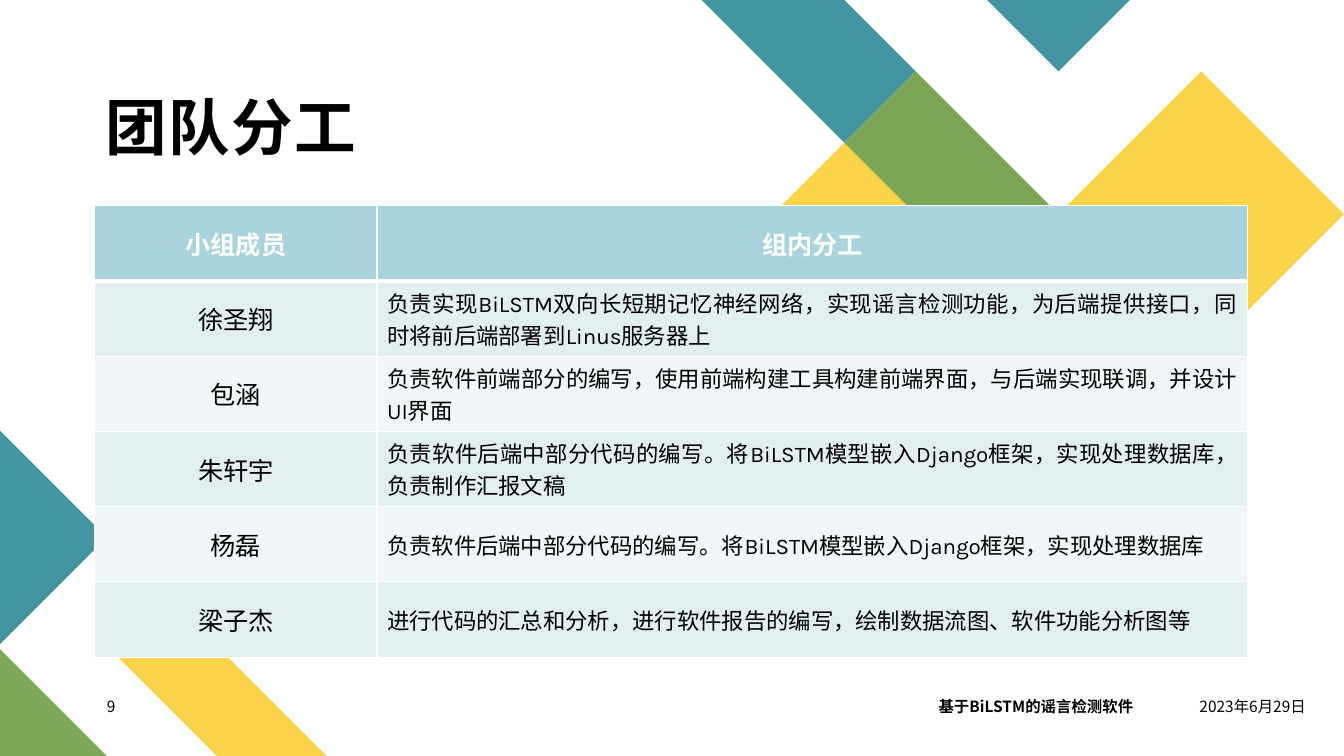
"""Build the team roles slide with its geometric decoration."""
import lxml.etree
import pptx
import pptx.dml.color
import pptx.enum.text
import pptx.oxml.ns
import pptx.util

WIDTH = pptx.util.Inches(13.333)
HEIGHT = pptx.util.Inches(7.5)

WHITE = pptx.dml.color.RGBColor(0xFF, 0xFF, 0xFF)
BLACK = pptx.dml.color.RGBColor(0x00, 0x00, 0x00)
TEAL = pptx.dml.color.RGBColor(0x44, 0x95, 0xA2)
GREEN = pptx.dml.color.RGBColor(0x7C, 0xA6, 0x55)
YELLOW = pptx.dml.color.RGBColor(0xF9, 0xD4, 0x48)
HEADER = pptx.dml.color.RGBColor(0xA9, 0xD4, 0xDB)
BANDS = (
    pptx.dml.color.RGBColor(0xF1, 0xF7, 0xF8),
    pptx.dml.color.RGBColor(0xE2, 0xEF, 0xF1),
)

CHINESE_FONT = "Noto Sans CJK SC"
TABLE_FONT = "Karla"
ALIGN = pptx.enum.text.PP_ALIGN
ANCHOR = pptx.enum.text.MSO_ANCHOR

ROWS = [
    ("小组成员", "组内分工"),
    ("徐圣翔", "负责实现BiLSTM双向长短期记忆神经网络，实现谣言检测功能，为后端提供接口，同时将前后端部署到Linus服务器上"),
    ("包涵", "负责软件前端部分的编写，使用前端构建工具构建前端界面，与后端实现联调，并设计UI界面"),
    ("朱轩宇", "负责软件后端中部分代码的编写。将BiLSTM模型嵌入Django框架，实现处理数据库，负责制作汇报文稿"),
    ("杨磊", "负责软件后端中部分代码的编写。将BiLSTM模型嵌入Django框架，实现处理数据库"),
    ("梁子杰", "进行代码的汇总和分析，进行软件报告的编写，绘制数据流图、软件功能分析图等"),
]
COLUMN_SHARES = (21, 64.8)
TABLE_HEIGHT = 59.73

RIGHT_GRID = ((100, 0), 5.31)
DECORATION = [
    ((24.3, 100), 4.08, YELLOW, [[(0, 0), (-2, 0), (-4, -2), (-3, -3)]]),
    ((0, 100), 7.95, GREEN, [[(1, 0), (0, 0), (0, -1)]]),
    ((0, 71.07), 7.95, TEAL, [[(0, -1), (1, 0), (0, 1)]]),
    (*RIGHT_GRID, TEAL, [[(-6, 1), (-7, 0), (-9, 0), (-7, 2)],
                         [(-3, 4), (-4, 3), (-5, 4), (-4, 5)]]),
    (*RIGHT_GRID, YELLOW, [[(-7, 2), (-8, 3), (-6, 5), (-5, 4)]]),
    (*RIGHT_GRID, TEAL, [[(-3, 0), (-5, 0), (-4, 1)]]),
    (*RIGHT_GRID, GREEN, [[(-6, 1), (-7, 2), (-5, 4), (-4, 3)]]),
    (*RIGHT_GRID, YELLOW, [[(0, 3), (-2, 1), (-4, 3), (-2, 5)]]),
]


def across(share):
    return round(WIDTH * share / 100)


def down(share):
    return round(HEIGHT * share / 100)


def apply_format(target, values):
    for name, value in values.items():
        setattr(target, name, value)


def write_text(text_frame, text, size, bold=False, color=BLACK, latin=CHINESE_FONT, **paragraph_format):
    paragraph = text_frame.paragraphs[0]
    apply_format(paragraph, paragraph_format)
    run = paragraph.add_run()
    run.text = text
    apply_format(run.font, {"size": pptx.util.Pt(size), "bold": bold, "name": latin})
    run.font.color.rgb = color
    properties = run._r.get_or_add_rPr()
    east_asian = lxml.etree.SubElement(properties, pptx.oxml.ns.qn("a:ea"))
    east_asian.set("typeface", CHINESE_FONT)
    return properties


def clear_insets(text_frame, anchor):
    apply_format(text_frame, {
        "margin_left": 0, "margin_top": 0, "margin_right": 0, "margin_bottom": 0,
        "word_wrap": True, "vertical_anchor": anchor,
    })


def add_polygon(slide, origin, step, color, contours):
    left, top = across(origin[0]), down(origin[1])
    outlines = [[(left + across(column * step), top + across(row * step)) for column, row in contour]
                for contour in contours]
    builder = slide.shapes.build_freeform(*outlines[0][0])
    for index, outline in enumerate(outlines):
        if index:
            builder.move_to(*outline[0])
        builder.add_line_segments(outline[1:], close=True)
    shape = builder.convert_to_shape()
    shape.shadow.inherit = False
    shape.fill.solid()
    shape.fill.fore_color.rgb = color
    shape.line.fill.background()


def add_title(slide, text):
    title = slide.shapes.title
    apply_format(title, {"left": across(7.88), "top": down(12.8),
                         "width": across(61.8), "height": down(8.93)})
    clear_insets(title.text_frame, ANCHOR.BOTTOM)
    properties = write_text(title.text_frame, text, 44, bold=True,
                            alignment=ALIGN.LEFT, line_spacing=0.9)
    properties.set("spc", "100")
    title.element.getparent().append(title.element)


def add_footer(slide, left, width, text, bold=False, **paragraph_format):
    box = slide.shapes.add_textbox(across(left), down(92.27), across(width), down(3.6))
    clear_insets(box.text_frame, ANCHOR.TOP)
    write_text(box.text_frame, text, 11, bold, **paragraph_format)


def add_border(cell, side, points):
    line = lxml.etree.SubElement(cell._tc.get_or_add_tcPr(), pptx.oxml.ns.qn("a:ln" + side))
    line.set("w", str(pptx.util.Pt(points)))
    fill = lxml.etree.SubElement(line, pptx.oxml.ns.qn("a:solidFill"))
    lxml.etree.SubElement(fill, pptx.oxml.ns.qn("a:srgbClr")).set("val", str(WHITE))


def format_cell(cell, row, column, text):
    is_header = row == 0
    for side in "LRTB":
        under_header = (row, side) in ((0, "B"), (1, "T"))
        add_border(cell, side, 3 if under_header else 1)
    cell.fill.solid()
    cell.fill.fore_color.rgb = HEADER if is_header else BANDS[row % 2]
    cell.vertical_anchor = ANCHOR.MIDDLE
    is_centred = is_header or column == 0
    write_text(cell.text_frame, text, 18 if is_centred else 16, is_header,
               WHITE if is_header else BLACK, TABLE_FONT,
               alignment=ALIGN.CENTER if is_centred else ALIGN.JUSTIFY)


def add_roles_table(slide):
    frame = slide.shapes.add_table(len(ROWS), len(COLUMN_SHARES), across(7.05), down(27.2),
                                   across(sum(COLUMN_SHARES)), down(TABLE_HEIGHT))
    table = frame.table
    for column, share in zip(table.columns, COLUMN_SHARES):
        column.width = across(share)
    for row, texts in enumerate(ROWS):
        table.rows[row].height = down(TABLE_HEIGHT / len(ROWS))
        for column, text in enumerate(texts):
            format_cell(table.cell(row, column), row, column, text)


def main():
    presentation = pptx.Presentation()
    apply_format(presentation, {"slide_width": WIDTH, "slide_height": HEIGHT})
    slide = presentation.slides.add_slide(presentation.slide_layouts[5])
    for polygon in DECORATION:
        add_polygon(slide, *polygon)
    add_title(slide, "团队分工")
    add_footer(slide, 7.95, 4.28, "9")
    add_roles_table(slide)
    add_footer(slide, 69.83, 15.15, "基于BiLSTM的谣言检测软件", True, space_before=pptx.util.Pt(10))
    add_footer(slide, 89.25, 10.8, "2023年6月29日")
    presentation.save("out.pptx")


if __name__ == "__main__":
    main()
